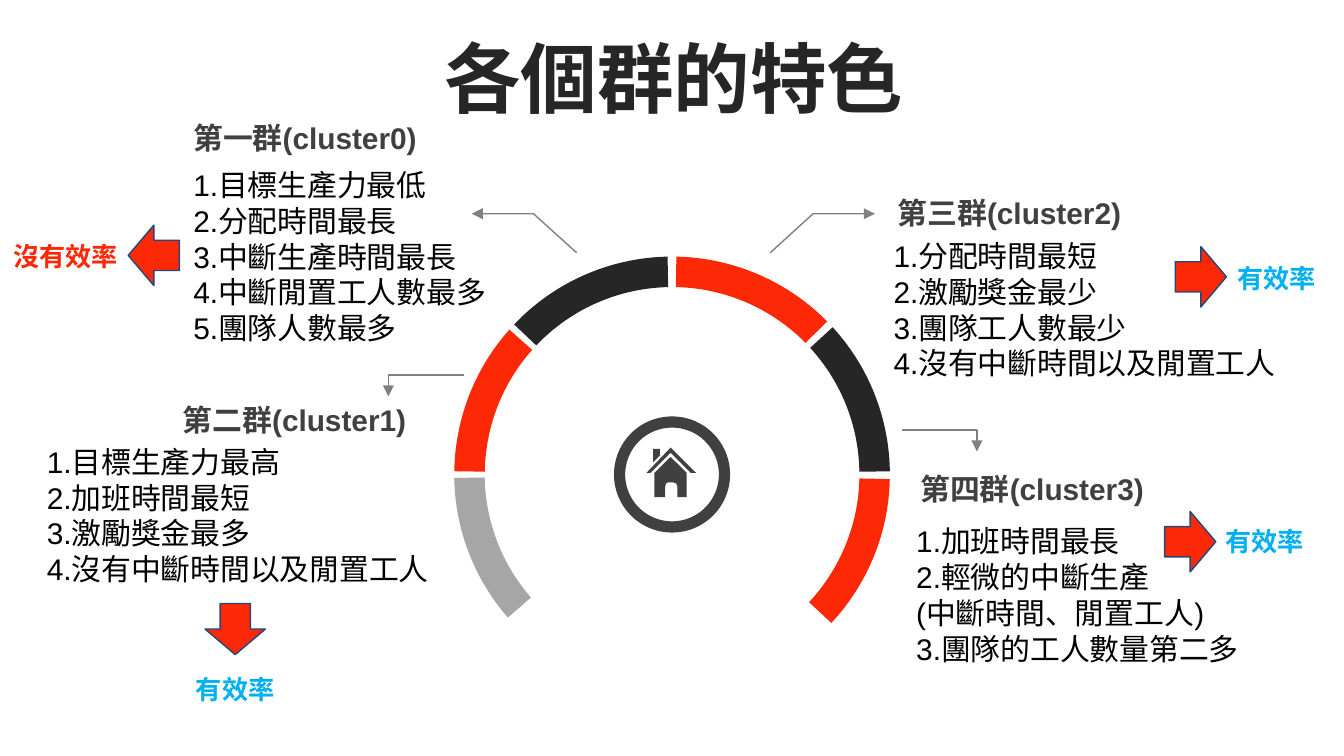
from lxml import etree
from pptx import Presentation
from pptx.dml.color import RGBColor
from pptx.enum import shapes, text
from pptx.oxml.ns import qn
from pptx.util import Pt

RED, BLACK, GREY, DARK, BLUE = "FD2906", "262626", "A6A6A6", "404040", "00B0F0"
NAVY, LEADER = "1F497D", "808080"

TITLE = "各個群的特色"

# heading, its box, heading alignment, list box, list items
CLUSTERS = [
    ("第三群(cluster2)", (473.8, 100.8, 167, 26.6), "LEFT", (471.6, 123.8, 226, 85),
     ["1.分配時間最短", "2.激勵獎金最少", "3.團隊工人數最少", "4.沒有中斷時間以及閒置工人"]),
    ("第四群(cluster3)", (486, 248.4, 167, 26.6), "LEFT", (483.8, 276.5, 225.4, 85),
     ["1.加班時間最長", "2.輕微的中斷生產", "(中斷時間、閒置工人)", "3.團隊的工人數量第二多"]),
    ("第一群(cluster0)", (96.5, 60.5, 185, 26.6), "LEFT", (96.5, 85.7, 191.5, 104.4),
     ["1.目標生產力最低", "2.分配時間最長", "3.中斷生產時間最長", "4.中斷閒置工人數最多",
      "5.團隊人數最多"]),
    ("第二群(cluster1)", (64.1, 211.7, 160.6, 26.6), "RIGHT", (18, 234, 224.6, 104.4),
     ["1.目標生產力最高", "2.加班時間最短", "3.激勵獎金最多", "4.沒有中斷時間以及閒置工人"]),
]

# rotation, start angle, end angle, thickness, colour
RING_BOX = (243.4, 137.5, 233.3, 233.3)
ARCS = [
    (137.7, 223.52, 265.32, 0.07, RED),
    (317.2, 181.66, 221.85, 0.07, GREY),
    (0, 180.82, 221.66, 0.07, RED),
    (90, 227.5, 269.21, 0.07, BLACK),
    (47.6, 175.88, 221.19, 0.07, BLACK),
    (47.6, 223.52, 267.81, 0.07, RED),
]

LEADERS = [
    [(412.6, 135.4), (435.6, 114.5), (468.7, 114.5)],
    [(308.9, 135.4), (285.8, 114.5), (252.7, 114.5)],
    [(248.4, 200.9), (208.1, 200.9), (208.1, 212.4)],
    [(483.1, 230.4), (523.4, 230.4), (523.4, 241.9)],
]

HOUSE = [
    [(359.3, 244.8), (367.9, 253.4), (367.9, 266.4), (362.9, 266.4), (362.9, 260.6),
     (362.3, 259.1), (360.7, 258.5), (357.8, 258.5), (356.8, 259.1), (356.4, 260.6),
     (356.4, 266.4), (350.6, 266.4), (350.6, 253.4)],
    [(349.9, 240.5), (353.5, 240.5), (353.5, 244.1), (349.9, 247.7)],
    [(359.3, 239.8), (373, 253.4), (370.1, 253.4), (359.3, 242.6), (348.5, 253.4),
     (346.3, 253.4)],
]

# arrow left, top, rotation; verdict, its box, colour
VERDICTS = [
    (66.2, 123.1, 90, "沒有效率", (0, 125.3, 71.3, 24.5), RED),
    (109.8, 323.3, 0, "有效率", (97.9, 357.1, 56.9, 24.5), BLUE),
    (627.1, 134.6, 270, "有效率", (655.9, 136.8, 56.9, 24.5), BLUE),
    (621.4, 276.5, 270, "有效率", (649.4, 277.9, 56.9, 24.5), BLUE),
]


def color(value):
    return RGBColor.from_string(value)


def paint(shape, fill=None, line=None, width=0.75):
    shape.shadow.inherit = False
    if fill:
        shape.fill.solid()
        shape.fill.fore_color.rgb = color(fill)
    else:
        shape.fill.background()
    if line:
        shape.line.color.rgb = color(line)
        shape.line.width = Pt(width)
    else:
        shape.line.fill.background()


def points(values):
    return [Pt(value) for value in values]


def write(frame, lines, size=16, fill="000000", bold=False, align="LEFT"):
    for index, line in enumerate(lines):
        paragraph = frame.paragraphs[0] if index == 0 else frame.add_paragraph()
        paragraph.alignment = getattr(text.PP_ALIGN, align)
        run = paragraph.add_run()
        run.text = line
        run.font.name = "Arial"
        run.font.size = Pt(size)
        run.font.bold = bold
        run.font.color.rgb = color(fill)


def add_text(slide, box, lines, wrap=True, **style):
    frame = slide.shapes.add_textbox(*points(box)).text_frame
    frame.word_wrap = wrap
    frame.auto_size = text.MSO_AUTO_SIZE.SHAPE_TO_FIT_TEXT
    write(frame, lines, **style)


def add_outline(slide, contours, close):
    first, *others = [[points(vertex) for vertex in contour] for contour in contours]
    builder = slide.shapes.build_freeform(*first[0])
    builder.add_line_segments(first[1:], close=close)
    for contour in others:
        builder.move_to(*contour[0])
        builder.add_line_segments(contour[1:], close=close)
    return builder.convert_to_shape()


def add_title(slide):
    title = slide.shapes.title
    title.left, title.top, title.width, title.height = points((19.4, 20.2, 683.3, 42.5))
    frame = title.text_frame
    frame.auto_size = text.MSO_AUTO_SIZE.NONE
    frame.vertical_anchor = text.MSO_ANCHOR.MIDDLE
    frame.margin_left = frame.margin_right = Pt(5)
    frame.margin_top = frame.margin_bottom = Pt(3)
    write(frame, [TITLE], size=41, fill=BLACK, bold=True, align="CENTER")


def main():
    presentation = Presentation()
    presentation.slide_width, presentation.slide_height = Pt(720), Pt(405)
    slide = presentation.slides.add_slide(presentation.slide_layouts[5])
    add_title(slide)

    for rotation, start, end, thickness, fill in ARCS:
        arc = slide.shapes.add_shape(shapes.MSO_SHAPE.BLOCK_ARC, *points(RING_BOX))
        arc.rotation = rotation
        # angles are stored in 60000ths of a degree, adjustments in 100000ths
        arc.adjustments[0] = start * 0.6
        arc.adjustments[1] = end * 0.6
        arc.adjustments[2] = thickness
        paint(arc, fill)

    for heading, heading_box, align, list_box, items in CLUSTERS:
        add_text(slide, heading_box, [heading], fill=DARK, bold=True, align=align)
        add_text(slide, list_box, items)

    hub = slide.shapes.add_shape(shapes.MSO_SHAPE.OVAL, *points((331.9, 226.1, 56.2, 56.2)))
    paint(hub, line=DARK, width=6)

    for vertices in LEADERS:
        leader = add_outline(slide, [vertices], close=False)
        paint(leader, line=LEADER)
        etree.SubElement(leader.line._get_or_add_ln(), qn("a:tailEnd"), type="triangle")

    paint(add_outline(slide, HOUSE, close=True), DARK)

    for left, top, rotation, verdict, box, fill in VERDICTS:
        arrow = slide.shapes.add_shape(
            shapes.MSO_SHAPE.DOWN_ARROW, *points((left, top, 32.4, 27.4)))
        arrow.rotation = rotation
        paint(arrow, RED, NAVY)
        add_text(slide, box, [verdict], wrap=False, size=14, fill=fill, bold=True)

    presentation.save("out.pptx")


if __name__ == "__main__":
    main()
